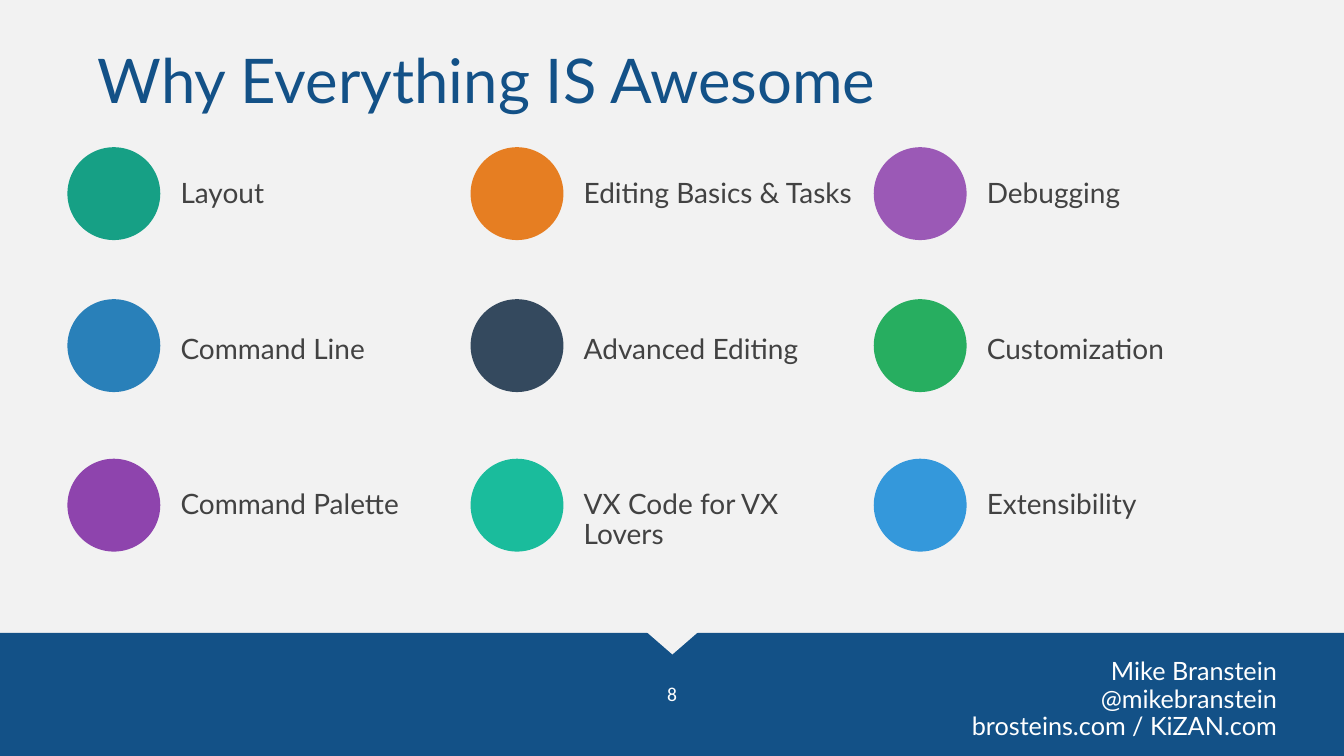
from pptx import Presentation
from pptx.dml.color import RGBColor
from pptx.enum.shapes import MSO_SHAPE
from pptx.enum.text import MSO_ANCHOR, PP_ALIGN
from pptx.util import Cm, Pt

BLUE = RGBColor(0x13, 0x51, 0x87)
PALE = RGBColor(0xF2, 0xF2, 0xF2)
GRAY = RGBColor(0x42, 0x42, 0x42)
WHITE = RGBColor(0xFF, 0xFF, 0xFF)
TEAL = RGBColor(0x16, 0xA0, 0x85)
ORANGE = RGBColor(0xE6, 0x7E, 0x22)
LILAC = RGBColor(0x9B, 0x59, 0xB6)
AZURE = RGBColor(0x29, 0x80, 0xB9)
SLATE = RGBColor(0x34, 0x49, 0x5E)
GREEN = RGBColor(0x27, 0xAE, 0x60)
PURPLE = RGBColor(0x8E, 0x44, 0xAD)
MINT = RGBColor(0x1A, 0xBC, 0x9C)
SKY = RGBColor(0x34, 0x98, 0xDB)

TITLE = "Why Everything IS Awesome"
TOPICS = [
    [("Layout", TEAL), ("Editing Basics & Tasks", ORANGE), ("Debugging", LILAC)],
    [("Command Line", AZURE), ("Advanced Editing", SLATE), ("Customization", GREEN)],
    [("Command Palette", PURPLE), ("VX Code for VX Lovers", MINT), ("Extensibility", SKY)],
]
SPEAKER = ["Mike Branstein", "@mikebranstein", "brosteins.com / KiZAN.com"]
PAGE = "8"

WIDE, HIGH = 33.87, 19.05
LEFT, PITCH = 1.7, 10.16
DOT = 2.34
DOT_TOPS = [3.71, 7.54, 11.56]
LABEL_TOP, LABEL_STEP = 4.4, 3.91
BAR_TOP = 15.95

deck = Presentation()
deck.slide_width, deck.slide_height = Cm(WIDE), Cm(HIGH)
slide = deck.slides.add_slide(deck.slide_layouts[6])
slide.background.fill.solid()
slide.background.fill.fore_color.rgb = PALE


def add_form(kind, box, color):
    form = slide.shapes.add_shape(kind, *map(Cm, box))
    form.shadow.inherit = False
    form.fill.solid()
    form.fill.fore_color.rgb = color
    form.line.fill.background()
    return form


def add_text(lines, box, size, color, font="Lato", align=PP_ALIGN.LEFT,
             anchor=MSO_ANCHOR.TOP, inset=0.25, spacing=0.9):
    frame = slide.shapes.add_textbox(*map(Cm, box)).text_frame
    frame.word_wrap = True
    frame.vertical_anchor = anchor
    frame.margin_left = frame.margin_right = Cm(inset)
    frame.margin_top = frame.margin_bottom = Cm(0.13)
    frame.text = "\n".join(lines)
    for para in frame.paragraphs:
        para.alignment = align
        para.line_spacing = spacing
        para.font.name = font
        para.font.size = Pt(size)
        para.font.color.rgb = color


add_form(MSO_SHAPE.RECTANGLE, (0, BAR_TOP, WIDE, HIGH - BAR_TOP), BLUE)
notch = add_form(MSO_SHAPE.ISOSCELES_TRIANGLE, (16.3, 15.93, 1.29, 0.56), PALE)
notch.rotation = 180
add_text(SPEAKER, (23.7, 16.48, 8.73, 2.34), 18, WHITE, align=PP_ALIGN.RIGHT)
add_text([PAGE], (16.25, 16.8, 1.37, 1.37), 14, WHITE, font="Calibri",
         align=PP_ALIGN.CENTER, anchor=MSO_ANCHOR.MIDDLE, spacing=1.0)
add_text([TITLE], (LEFT, 1.02, 30.28, 2.16), 44, BLUE,
         anchor=MSO_ANCHOR.MIDDLE, inset=0.76)

for row, (topics, top) in enumerate(zip(TOPICS, DOT_TOPS)):
    for col, (label, color) in enumerate(topics):
        left = LEFT + col * PITCH
        add_form(MSO_SHAPE.OVAL, (left, top, DOT, DOT), color)
        add_text([label], (left + 2.85, LABEL_TOP + row * LABEL_STEP, 7.09, 0.89),
                 20, GRAY, inset=0)

deck.save("out.pptx")
